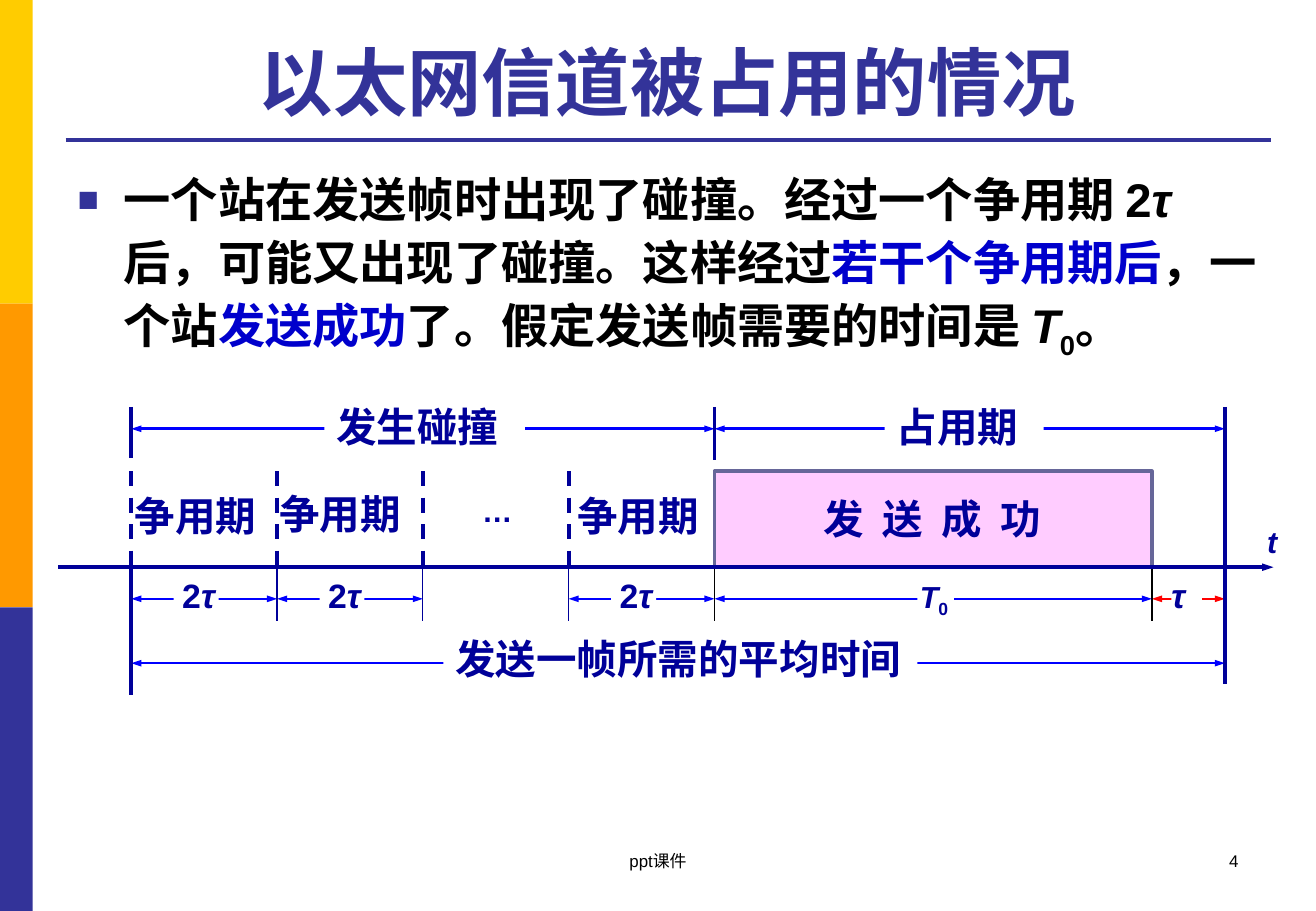
from dataclasses import dataclass

from lxml.etree import SubElement
from pptx import Presentation
from pptx.dml.color import RGBColor
from pptx.enum.dml import MSO_LINE_DASH_STYLE as Dash
from pptx.enum.shapes import MSO_CONNECTOR as Connector, MSO_SHAPE as Shape
from pptx.enum.text import MSO_ANCHOR as Anchor, PP_ALIGN as Align
from pptx.oxml.ns import qn
from pptx.util import Inches, Pt


@dataclass(frozen=True)
class Theme:
    font: str = "Arial"
    title: str = "333399"
    text: str = "000000"
    key: str = "0000CC"
    ink: str = "000099"
    span: str = "0000FF"
    delay: str = "FF0000"
    paper: str = "FFFFFF"
    frame_fill: str = "FFCCFF"
    frame_line: str = "666699"
    title_size: int = 44
    body_size: int = 28
    label_size: int = 24
    tau_size: int = 20
    small_size: int = 18
    footer_size: int = 10
    heavy: float = 2.25
    medium: float = 1.5
    thin: float = 0.75


THEME = Theme()
SIDEBAR = ["FFCC00", "FF9900", "333399"]
TITLE = "以太网信道被占用的情况"

# Runs are (text, style); style is "", "italic", "key" or "sub".
BODY = [
    ("一个站在发送帧时出现了碰撞。经过一个争用期 2", ""),
    ("τ ", "italic"),
    ("后，可能又出现了碰撞。这样经过", ""),
    ("若干个争用期后", "key"),
    ("，一个站", ""),
    ("发送成功", "key"),
    ("了。假定发送帧需要的时间是 ", ""),
    ("T", "italic"),
    ("0", "sub"),
    ("。", ""),
]
TWO_TAU = [("2", ""), ("τ", "italic")]
FRAME_TIME = [("T", "italic"), ("0", "sub")]
SLOT_NAME = "争用期"

# Time axis: slots of equal length, then the frame, then the delay.
START, SLOT, SLOT_COUNT = 1.08, 1.2, 4
BOUNDS = [round(START + SLOT * i, 2) for i in range(SLOT_COUNT + 1)]
FRAME_START, FRAME_END, END = BOUNDS[-1], 9.48, 10.08
TOP_Y, SPAN_TOP, BOX_TOP, AXIS_Y = 3.35, 3.53, 3.88, 4.67
SPAN_LOW, TICK_END, TOTAL_Y = 4.93, 5.11, 5.46
# Slot index: left and top of its name
NAMED_SLOTS = {0: (1.01, 3.99), 1: (2.2, 3.98), 3: (4.65, 3.99)}

# Left, top, width, height, left inset, runs, size, whether it hides the line behind
LABELS = [
    (2.67, 3.26, 1.65, 0.5, 0.1, "发生碰撞", THEME.label_size, True),
    (7.28, 3.26, 1.31, 0.5, 0.1, "占用期", THEME.label_size, True),
    (3.65, 5.17, 3.9, 0.5, 0.1, "发送一帧所需的平均时间", THEME.label_size, True),
    (7.55, 4.71, 0.3, 0.4, 0.02, FRAME_TIME, THEME.small_size, True),
    (9.64, 4.68, 0.25, 0.44, 0, [("τ", "italic")], THEME.tau_size, True),
    (10.33, 4.26, 0.29, 0.4, 0.1, [("t", "italic")], THEME.small_size, False),
    (3.87, 4, 0.45, 0.4, 0.1, "…", THEME.small_size, False),
]

presentation = Presentation()
presentation.slide_width, presentation.slide_height = Inches(10.83), Inches(7.5)
slide = presentation.slides.add_slide(presentation.slide_layouts[6])


def color(value):
    return RGBColor.from_string(value)


def add_line(x1, y1, x2, y2, line_color, width, ends=(), dash=None):
    """Draw a line; ends names the arrowheads, headEnd and/or tailEnd."""
    ends_at = [Inches(value) for value in (x1, y1, x2, y2)]
    connector = slide.shapes.add_connector(Connector.STRAIGHT, *ends_at)
    connector.line.color.rgb = color(line_color)
    connector.line.width = Pt(width)
    if dash:
        connector.line.dash_style = dash
    properties = connector._element.spPr
    for end in ends:
        SubElement(properties.find(qn("a:ln")), qn(f"a:{end}"), type="triangle", w="sm", len="med")
    SubElement(properties, qn("a:effectLst"))


def add_text(left, top, width, height, runs, size, text_color=THEME.ink, bold=True,
             align=Align.LEFT, anchor=Anchor.TOP, inset=0.1, right_inset=0.0, fill=None):
    box = slide.shapes.add_textbox(Inches(left), Inches(top), Inches(width), Inches(height))
    if fill:
        box.fill.solid()
        box.fill.fore_color.rgb = color(fill)
    frame = box.text_frame
    frame.word_wrap = True
    frame.vertical_anchor = anchor
    frame.margin_left, frame.margin_right = Inches(inset), Inches(right_inset)
    paragraph = frame.paragraphs[0]
    paragraph.alignment = align
    for text, style in [(runs, "")] if isinstance(runs, str) else runs:
        run = paragraph.add_run()
        run.text = text
        run.font.name, run.font.size, run.font.bold = THEME.font, Pt(size), bold
        run.font.italic = style == "italic"
        run.font.color.rgb = color(THEME.key if style == "key" else text_color)
        if style == "sub":
            run._r.get_or_add_rPr().set("baseline", "-25000")
    return paragraph


def add_bullet(paragraph):
    properties = paragraph._p.get_or_add_pPr()
    properties.set("marL", str(Inches(0.38)))
    properties.set("indent", str(-Inches(0.38)))
    properties.set("hangingPunct", "0")
    bullet_color = SubElement(properties, qn("a:buClr"))
    SubElement(bullet_color, qn("a:srgbClr"), val=THEME.title)
    SubElement(properties, qn("a:buSzPct"), val="75000")
    SubElement(properties, qn("a:buFont"), typeface=THEME.font)
    SubElement(properties, qn("a:buChar"), char="■")


def add_page():
    for i, fill in enumerate(SIDEBAR):
        bar = slide.shapes.add_shape(Shape.RECTANGLE, 0, Inches(2.5 * i), Inches(0.27), Inches(2.5))
        bar.shadow.inherit = False
        bar.fill.solid()
        bar.fill.fore_color.rgb = color(fill)
        bar.line.fill.background()
    add_line(0.54, 1.15, 10.46, 1.15, THEME.title, THEME.heavy)
    add_text(0.54, 0.21, 9.91, 0.87, TITLE, THEME.title_size, THEME.title,
             align=Align.CENTER, anchor=Anchor.BOTTOM, right_inset=0.1)
    body = add_text(0.54, 1.31, 9.91, 1.8, BODY, THEME.body_size, THEME.text, right_inset=0.1)
    add_bullet(body)
    body.line_spacing = 1.1
    for left, width, text, align in [(3.7, 3.43, "ppt课件", Align.CENTER), (7.76, 2.53, "4", Align.RIGHT)]:
        add_text(left, 6.95, width, 0.5, text, THEME.footer_size, THEME.text, False, align, right_inset=0.1)


def add_spans():
    spans = [(START, END, TOTAL_Y), (START, FRAME_START, SPAN_TOP), (FRAME_START, END, SPAN_TOP),
             (FRAME_START, FRAME_END, SPAN_LOW), (FRAME_END, END, SPAN_LOW)]
    spans += [(BOUNDS[i], BOUNDS[i + 1], SPAN_LOW) for i in NAMED_SLOTS]
    for left, right, y in spans:
        span_color = THEME.delay if left == FRAME_END else THEME.span
        add_line(left, y, right, y, span_color, THEME.medium, ("headEnd", "tailEnd"))


def add_frame():
    corners = [(FRAME_START, AXIS_Y), (FRAME_START, BOX_TOP), (FRAME_END, BOX_TOP), (FRAME_END, AXIS_Y)]
    points = [(Inches(x), Inches(y)) for x, y in corners]
    builder = slide.shapes.build_freeform(*points[0])
    builder.add_line_segments(points[1:], close=False)
    shape = builder.convert_to_shape()
    shape.shadow.inherit = False
    shape.fill.solid()
    shape.fill.fore_color.rgb = color(THEME.frame_fill)
    shape.line.color.rgb = color(THEME.frame_line)
    shape.line.width = Pt(THEME.heavy)
    caption = add_text(6.68, 4.02, 2.21, 0.5, "发 送 成 功", THEME.label_size)
    caption.runs[0]._r.get_or_add_rPr().set("spc", "280")


def add_labels():
    for left, top, width, height, inset, runs, size, hides in LABELS:
        add_text(left, top, width, height, runs, size, inset=inset, fill=THEME.paper if hides else None)
    for i, (left, top) in NAMED_SLOTS.items():
        add_text(left, top, 1.31, 0.5, SLOT_NAME, THEME.label_size)
        add_text(BOUNDS[i] + 0.35, 4.68, 0.37, 0.44, TWO_TAU, THEME.tau_size, inset=0.07, fill=THEME.paper)


def add_ticks():
    for x in BOUNDS[:-1]:
        add_line(x, BOX_TOP, x, AXIS_Y, THEME.ink, THEME.heavy, dash=Dash.DASH)
    for x in BOUNDS[1:] + [FRAME_END]:
        tick_color = THEME.text if x >= FRAME_START else THEME.ink
        add_line(x, AXIS_Y, x, TICK_END, tick_color, THEME.thin)
    for x, top, bottom in [(START, TOP_Y, 3.77), (START, AXIS_Y, 5.72), (FRAME_START, TOP_Y, 3.79),
                           (END, TOP_Y, 5.63)]:
        add_line(x, top, x, bottom, THEME.ink, THEME.heavy)
    add_line(0.48, AXIS_Y, 10.48, AXIS_Y, THEME.ink, THEME.heavy, ("tailEnd",))


add_page()
add_spans()
add_frame()
add_labels()
add_ticks()
presentation.save("out.pptx")
